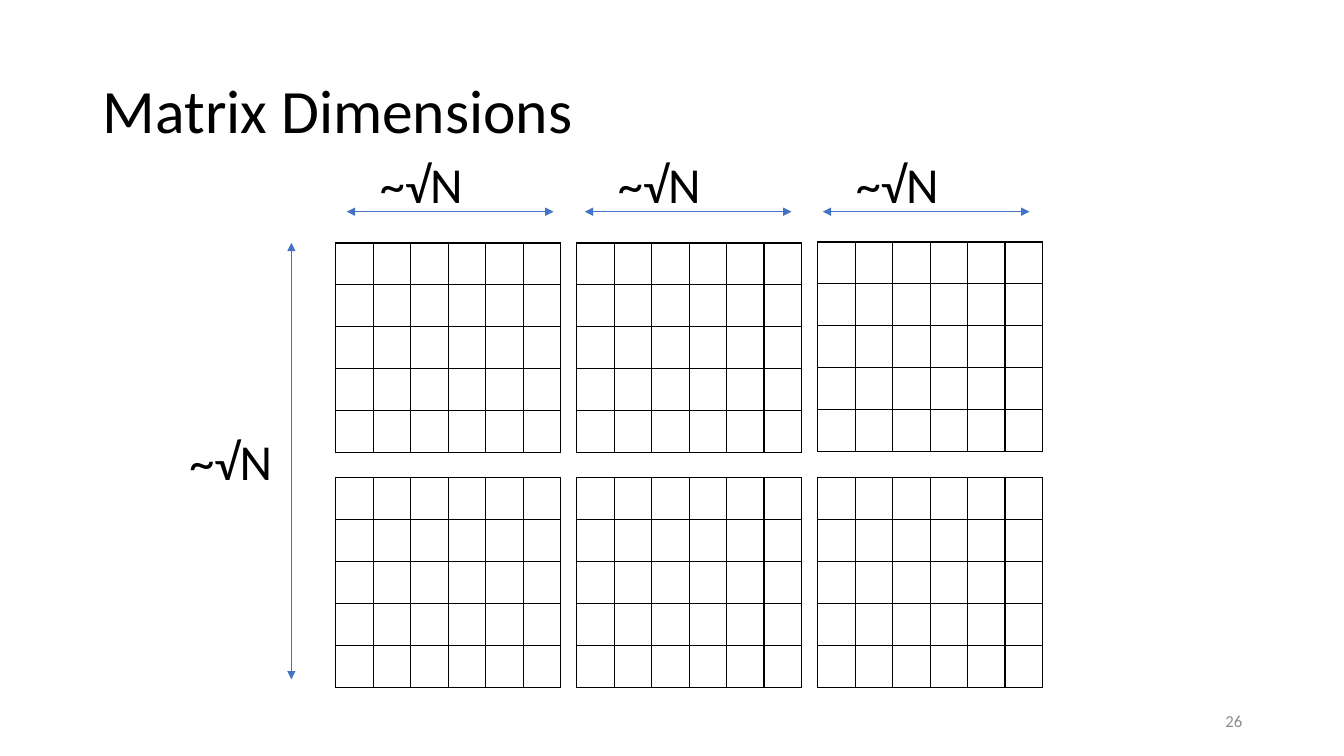
from dataclasses import dataclass

from lxml import etree
from pptx import Presentation
from pptx.dml.color import RGBColor
from pptx.enum import shapes, text
from pptx.oxml import ns
from pptx.util import Inches, Pt

TITLE = "Matrix Dimensions"
DIMENSION = "~√N"
PAGE_NUMBER = "26"

MATRIX_ROWS, MATRIX_COLUMNS = 5, 6
MATRIX_SIZE = (2.23, 2.08)
MATRIX_LEFT, MATRIX_STEP = 3.33, 2.39
MATRIX_TOPS = [(2.41, 2.41, 2.4), (4.74, 4.74, 4.74)]

WIDTH_ARROW_LEFT, WIDTH_ARROW_LENGTH, WIDTH_ARROW_TOP = 3.44, 2.05, 2.1
WIDTH_STEP = 2.36
HEIGHT_ARROW = (2.89, 2.41, 2.89, 6.74)
LABEL_SIZE = (1.42, 0.71)
WIDTH_LABEL = (3.67, 1.47)
HEIGHT_LABEL = (1.78, 4.22)


@dataclass(frozen=True)
class Theme:
    font: str = "Calibri"
    ink: str = "000000"
    paper: str = "FFFFFF"
    arrow: str = "4472C4"
    muted: str = "8C8C8C"
    title_size: int = 44
    label_size: int = 36
    number_size: int = 12
    grid_line: float = 1
    arrow_line: float = 0.5


THEME = Theme()


def write(frame, words, size, color, align=text.PP_ALIGN.LEFT,
          anchor=text.MSO_ANCHOR.TOP, spacing=1.0):
    frame.text = words
    paragraph = frame.paragraphs[0]
    formats = [
        (frame, {"word_wrap": True, "vertical_anchor": anchor,
                 "auto_size": text.MSO_AUTO_SIZE.NONE}),
        (paragraph, {"alignment": align, "line_spacing": spacing}),
        (paragraph.runs[0].font, {"name": THEME.font, "size": Pt(size)}),
    ]
    for target, values in formats:
        for name, value in values.items():
            setattr(target, name, value)
    paragraph.runs[0].font.color.rgb = RGBColor.from_string(color)


def add_text(slide, box, words, size, color, **layout):
    textbox = slide.shapes.add_textbox(*map(Inches, box))
    write(textbox.text_frame, words, size, color, **layout)


def outline_cell(cell):
    properties = cell._tc.get_or_add_tcPr()
    for side in ("lnL", "lnR", "lnT", "lnB"):
        border = etree.SubElement(properties, ns.qn(f"a:{side}"), w=str(Pt(THEME.grid_line)))
        fill = etree.SubElement(border, ns.qn("a:solidFill"))
        etree.SubElement(fill, ns.qn("a:srgbClr"), val=THEME.ink)


def add_matrix(slide, left, top):
    width, height = MATRIX_SIZE
    matrix = slide.shapes.add_table(MATRIX_ROWS, MATRIX_COLUMNS,
                                    *map(Inches, (left, top, width, height))).table
    matrix.first_row = matrix.horz_banding = False
    for column in matrix.columns:
        column.width = Inches(width / MATRIX_COLUMNS)
    for row in matrix.rows:
        row.height = Inches(height / MATRIX_ROWS)
    for cell in matrix.iter_cells():
        outline_cell(cell)
        cell.fill.solid()
        cell.fill.fore_color.rgb = RGBColor.from_string(THEME.paper)


def add_double_arrow(slide, ends):
    arrow = slide.shapes.add_connector(shapes.MSO_CONNECTOR.STRAIGHT, *map(Inches, ends))
    arrow.line.color.rgb = RGBColor.from_string(THEME.arrow)
    arrow.line.width = Pt(THEME.arrow_line)
    line = arrow.line._get_or_add_ln()
    for end in ("headEnd", "tailEnd"):
        etree.SubElement(line, ns.qn(f"a:{end}"), type="triangle")
    etree.SubElement(arrow._element.spPr, ns.qn("a:effectLst"))


def add_dimension(slide, corner):
    add_text(slide, (*corner, *LABEL_SIZE), DIMENSION, THEME.label_size, THEME.ink)


def main():
    deck = Presentation()
    deck.slide_width, deck.slide_height = Inches(13.33), Inches(7.5)
    slide = deck.slides.add_slide(deck.slide_layouts[5])

    title = slide.shapes.title
    title.left, title.top, title.width, title.height = map(Inches, (0.92, 0.4, 11.5, 1.45))
    write(title.text_frame, TITLE, THEME.title_size, THEME.ink,
          anchor=text.MSO_ANCHOR.MIDDLE, spacing=0.9)

    for tops in MATRIX_TOPS:
        for column, top in enumerate(tops):
            add_matrix(slide, MATRIX_LEFT + column * MATRIX_STEP, top)

    label_left, label_top = WIDTH_LABEL
    for column in range(len(MATRIX_TOPS[0])):
        shift = column * WIDTH_STEP
        start = WIDTH_ARROW_LEFT + shift
        add_double_arrow(slide, (start, WIDTH_ARROW_TOP,
                                 start + WIDTH_ARROW_LENGTH, WIDTH_ARROW_TOP))
        add_dimension(slide, (label_left + shift, label_top))

    add_double_arrow(slide, HEIGHT_ARROW)
    add_dimension(slide, HEIGHT_LABEL)

    add_text(slide, (9.42, 6.95, 3, 0.4), PAGE_NUMBER, THEME.number_size, THEME.muted,
             align=text.PP_ALIGN.RIGHT, anchor=text.MSO_ANCHOR.MIDDLE)
    deck.save("out.pptx")


if __name__ == "__main__":
    main()
